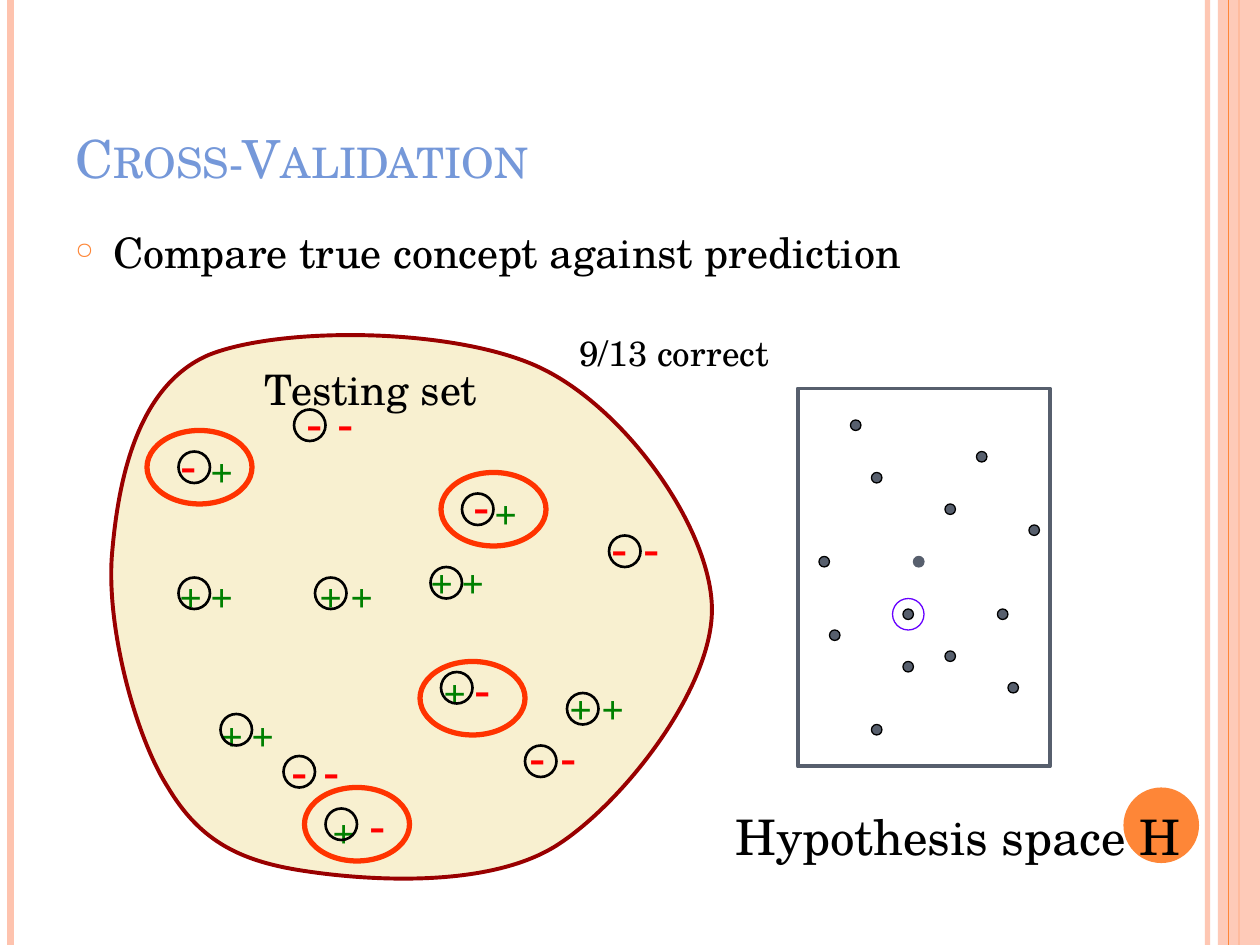
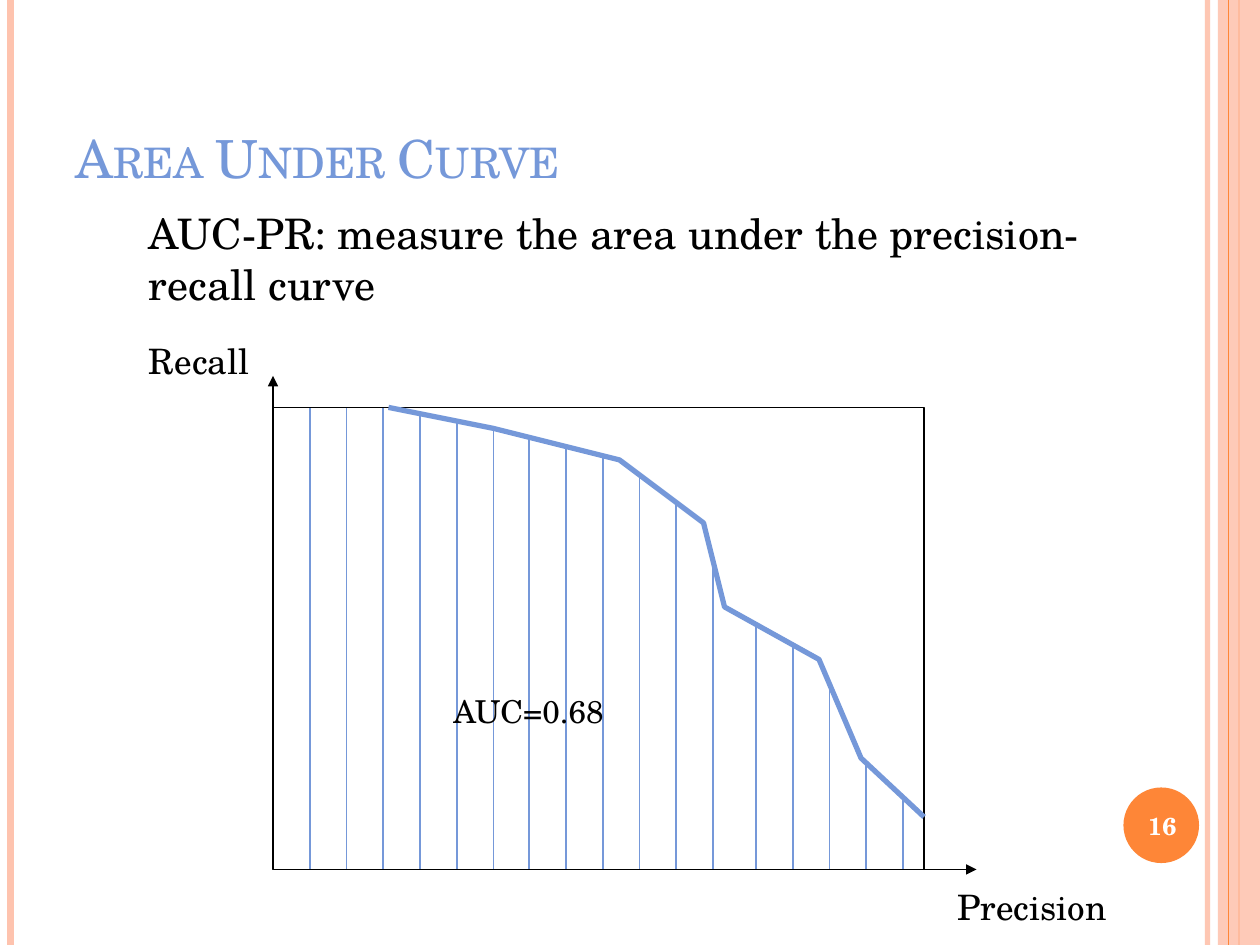
from dataclasses import dataclass
from typing import Optional

from pptx import Presentation
from pptx.dml.color import RGBColor
from pptx.enum.shapes import MSO_CONNECTOR, MSO_SHAPE
from pptx.enum.text import MSO_ANCHOR, MSO_AUTO_SIZE, PP_ALIGN
from pptx.oxml.ns import qn
from pptx.util import Pt
from lxml.etree import SubElement

PX = 7620
WIDTH, HEIGHT = 1200, 900
FONT = "TeX Gyre Schola"

BLACK = RGBColor(0x00, 0x00, 0x00)
WHITE = RGBColor(0xFF, 0xFF, 0xFF)
PEACH = RGBColor(0xFE, 0xC3, 0xAE)
ORANGE = RGBColor(0xFE, 0x86, 0x37)
BLUE = RGBColor(0x75, 0x98, 0xD9)
SLATE = RGBColor(0x57, 0x5F, 0x6D)
CREAM = RGBColor(0xF8, 0xF0, 0xD0)
MAROON = RGBColor(0x99, 0x00, 0x00)
GREEN = RGBColor(0x00, 0x80, 0x00)
RED = RGBColor(0xFF, 0x00, 0x00)
VERMILION = RGBColor(0xFF, 0x33, 0x00)
VIOLET = RGBColor(0x66, 0x00, 0xFF)

Point = tuple[int, int]
Box = tuple[int, int, int, int]


@dataclass(frozen=True)
class Stripe:
    """A vertical line of the slide frame."""

    x: int
    color: RGBColor
    width: float
    opacity: int = 100


@dataclass(frozen=True)
class Sign:
    """How a class label is written."""

    text: str
    size: int
    color: RGBColor
    box: Point


@dataclass(frozen=True)
class Example:
    """A test example: ringed prediction, true label beside it, oval if they differ."""

    ring: Point
    predicted: Sign
    predicted_at: Point
    actual: Sign
    actual_at: Optional[Point] = None
    error_at: Optional[Point] = None


PLUS = Sign("+", 20, GREEN, (43, 52))
MINUS = Sign("-", 28, RED, (40, 68))

LEFT_STRIPES = [Stripe(1150, PEACH, 3, 93), Stripe(10, PEACH, 4.5), Stripe(1180, ORANGE, 1.5)]
TOP_STRIPE = Stripe(1170, ORANGE, 0.75)

EXAMPLES = [
    Example((300, 550), PLUS, (293, 539), PLUS),
    Example((420, 640), PLUS, (412, 631), MINUS, (440, 620), (400, 630)),
    Example((170, 550), PLUS, (160, 539), PLUS),
    Example((310, 770), PLUS, (306, 764), MINUS, (340, 750), (290, 750)),
    Example((540, 660), PLUS, (532, 646), PLUS),
    Example((210, 680), PLUS, (199, 672), PLUS),
    Example((410, 540), PLUS, (399, 526), PLUS),
    Example((500, 710), MINUS, (492, 685), MINUS),
    Example((170, 430), MINUS, (160, 407), PLUS, (190, 420), (140, 410)),
    Example((270, 720), MINUS, (266, 698), MINUS),
    Example((440, 470), MINUS, (439, 446), PLUS, (460, 460), (420, 450)),
    Example((580, 510), MINUS, (571, 486), MINUS),
    Example((280, 390), MINUS, (280, 367), MINUS),
]

HYPOTHESES = [
    (860, 580), (830, 450), (810, 400), (900, 480), (980, 500), (780, 530), (900, 620),
    (790, 600), (950, 580), (860, 630), (930, 430), (960, 650), (830, 690),
]
UNOUTLINED_HYPOTHESIS = (870, 530)

BLOB_BOX = (100, 310, 580, 535)
BLOB_START = (293, 830)
BLOB_CURVES = [
    ((230, 821), (191, 802), (160, 750)),
    ((128, 700), (100, 593), (107, 524)),
    ((113, 456), (131, 367), (199, 338)),
    ((269, 310), (439, 312), (518, 352)),
    ((598, 392), (676, 503), (678, 578)),
    ((680, 653), (596, 762), (532, 804)),
    ((468, 846), (354, 839), BLOB_START),
]

ORIGIN = (260, 828)
PLOT_TOP = 388
CURVE = [(370, PLOT_TOP), (470, 408), (590, 438), (670, 498),
         (690, 578), (780, 628), (820, 722), (880, 778)]
HATCH_GAP = 34.9
HATCH_XS = [round(start + HATCH_GAP * index)
            for start, count in ((295, 12), (720, 5)) for index in range(count)]


def set_opacity(drawn, percent: int) -> None:
    """Make the single colour of a shape or connector translucent."""
    color = next(drawn._element.iter(qn("a:srgbClr")))
    SubElement(color, qn("a:alpha"), val=str(percent * 1000))


def style_shape(shape, fill: Optional[RGBColor], line: Optional[RGBColor], width: float) -> None:
    """Set fill and outline, where None means absent."""
    shape.shadow.inherit = False
    if fill is None:
        shape.fill.background()
    else:
        shape.fill.solid()
        shape.fill.fore_color.rgb = fill
    if line is None:
        shape.line.fill.background()
    else:
        shape.line.color.rgb = line
        shape.line.width = Pt(width)


def add_preset(slide, preset, box: Box, fill: Optional[RGBColor] = None,
               line: Optional[RGBColor] = None, width: float = 0.75):
    """Add a preset shape."""
    shape = slide.shapes.add_shape(preset, *(length * PX for length in box))
    style_shape(shape, fill, line, width)
    return shape


def add_circle(slide, at: Point, size: int, **style) -> None:
    """Add a circle by its top left corner and diameter."""
    add_preset(slide, MSO_SHAPE.OVAL, (*at, size, size), **style)


def add_outline(slide, points: list, close: bool, fill: Optional[RGBColor],
                line: RGBColor, width: float):
    """Add a freeform through the given points."""
    builder = slide.shapes.build_freeform(*points[0], scale=PX)
    builder.add_line_segments(points[1:], close=close)
    shape = builder.convert_to_shape()
    style_shape(shape, fill, line, width)
    return shape


def add_blob(slide) -> None:
    """Add the rounded outline of the testing set."""
    corners = [BLOB_START, *(curve[-1] for curve in BLOB_CURVES)]
    shape = add_outline(slide, corners, True, CREAM, MAROON, 2.25)
    left, top, width, height = BLOB_BOX
    shape.left, shape.top = left * PX, top * PX
    shape.width, shape.height = width * PX, height * PX
    outline = next(shape._element.iter(qn("a:path")))
    for segment in list(outline):
        outline.remove(segment)
    outline.set("w", str(width))
    outline.set("h", str(height))
    segments = [("a:moveTo", [BLOB_START])]
    segments += [("a:cubicBezTo", curve) for curve in BLOB_CURVES]
    for tag, points in [*segments, ("a:close", [])]:
        segment = SubElement(outline, qn(tag))
        for x, y in points:
            SubElement(segment, qn("a:pt"), x=str(x - left), y=str(y - top))


def add_line(slide, start: Point, end: Point, color: RGBColor, width: float,
             arrow: bool = False):
    """Add a straight line, with an arrowhead at its end if asked."""
    connector = slide.shapes.add_connector(
        MSO_CONNECTOR.STRAIGHT, *(length * PX for length in (*start, *end)))
    connector.line.color.rgb = color
    connector.line.width = Pt(width)
    properties = connector._element.spPr
    if arrow:
        SubElement(properties.find(qn("a:ln")), qn("a:tailEnd"), type="triangle")
    SubElement(properties, qn("a:effectLst"))
    return connector


def add_text(slide, text: str, box: Box, *, size: int, color: RGBColor = BLACK,
             bold: bool = False, small_caps: bool = False, wrap: bool = True,
             grow: bool = True, align=PP_ALIGN.LEFT, anchor=MSO_ANCHOR.TOP):
    """Add a text box and return its paragraph."""
    frame = slide.shapes.add_textbox(*(length * PX for length in box)).text_frame
    frame.word_wrap = wrap
    frame.auto_size = MSO_AUTO_SIZE.SHAPE_TO_FIT_TEXT if grow else MSO_AUTO_SIZE.NONE
    frame.vertical_anchor = anchor
    paragraph = frame.paragraphs[0]
    paragraph.alignment = align
    run = paragraph.add_run()
    run.text = text
    run.font.name = FONT
    run.font.size = Pt(size)
    run.font.bold = bold
    run.font.color.rgb = color
    if small_caps:
        run.font._element.set("cap", "small")
    return paragraph


def add_bullet(paragraph, character: str, color: RGBColor, percent: int, indent: int) -> None:
    """Give a paragraph a hanging bullet."""
    properties = paragraph._p.get_or_add_pPr()
    properties.set("marL", str(indent * PX))
    properties.set("indent", str(-indent * PX))
    SubElement(SubElement(properties, qn("a:buClr")), qn("a:srgbClr"), val=str(color))
    SubElement(properties, qn("a:buSzPct"), val=str(percent * 1000))
    SubElement(properties, qn("a:buChar"), char=character)


def add_stripe(slide, stripe: Stripe) -> None:
    """Draw a frame line down the whole slide."""
    connector = add_line(slide, (stripe.x, 0), (stripe.x, HEIGHT), stripe.color, stripe.width)
    if stripe.opacity < 100:
        set_opacity(connector, stripe.opacity)


def add_framed_slide(presentation, title: str):
    """Add a blank slide with the shared frame, badge and title."""
    slide = presentation.slides.add_slide(presentation.slide_layouts[6])
    for stripe in LEFT_STRIPES:
        add_stripe(slide, stripe)
    band = add_preset(slide, MSO_SHAPE.RECTANGLE, (1160, 0, 40, HEIGHT), fill=PEACH)
    set_opacity(band, 87)
    add_stripe(slide, TOP_STRIPE)
    add_circle(slide, (1070, 750), 72, fill=ORANGE)
    add_text(slide, title, (60, 36, 980, 150), size=30, color=BLUE, small_caps=True,
             grow=False, anchor=MSO_ANCHOR.BOTTOM)
    return slide


def add_sign(slide, sign: Sign, at: Point) -> None:
    """Write a class label."""
    add_text(slide, sign.text, (*at, *sign.box), size=sign.size, color=sign.color, wrap=False)


def add_actual(slide, example: Example) -> None:
    """Write the true label, by default just right of the predicted one."""
    x, y = example.predicted_at
    add_sign(slide, example.actual, example.actual_at or (x + 30, y))


def curve_height(x: int) -> int:
    """Give the y of the precision-recall curve at x."""
    for (x0, y0), (x1, y1) in zip(CURVE, CURVE[1:]):
        if x0 <= x <= x1:
            return round(y0 + (y1 - y0) * (x - x0) / (x1 - x0))
    return PLOT_TOP


def build_cross_validation(presentation) -> None:
    """Build the slide comparing true concept and prediction."""
    slide = add_framed_slide(presentation, "Cross-Validation")
    body = add_text(slide, "Compare true concept against prediction",
                    (60, 210, 980, 640), size=24, grow=False)
    add_bullet(body, "○", ORANGE, 55, 36)
    add_blob(slide)
    for example in EXAMPLES:
        add_sign(slide, example.predicted, example.predicted_at)
    add_preset(slide, MSO_SHAPE.RECTANGLE, (760, 370, 240, 360), line=SLATE, width=2.25)
    for hypothesis in HYPOTHESES:
        add_circle(slide, hypothesis, 10, fill=SLATE, line=BLACK)
    add_circle(slide, UNOUTLINED_HYPOTHESIS, 10, fill=SLATE, line=SLATE)
    add_circle(slide, (850, 570), 30, line=VIOLET)
    add_text(slide, "Hypothesis space H", (689, 762, 480, 68), size=28)
    for example in EXAMPLES:
        add_circle(slide, example.ring, 30, line=BLACK, width=1.5)
    add_text(slide, "Testing set", (240, 340, 480, 60), size=24)
    errors = [example for example in EXAMPLES if example.error_at]
    for example in EXAMPLES:
        if example not in errors:
            add_actual(slide, example)
    for example in errors:
        add_actual(slide, example)
    for example in errors:
        add_preset(slide, MSO_SHAPE.OVAL, (*example.error_at, 100, 70), line=VERMILION, width=3)
    add_text(slide, "9/13 correct", (540, 310, 260, 52), size=20)


def build_area_under_curve(presentation) -> None:
    """Build the slide with the hatched precision-recall curve."""
    slide = add_framed_slide(presentation, "Area Under Curve")
    add_text(slide, "16", (1067, 752, 80, 68), size=14, color=WHITE, bold=True,
             grow=False, align=PP_ALIGN.CENTER, anchor=MSO_ANCHOR.MIDDLE)
    left, bottom = ORIGIN
    for tip in ((930, bottom), (left, 358)):
        add_line(slide, ORIGIN, tip, BLACK, 0.75, arrow=True)
    add_preset(slide, MSO_SHAPE.RECTANGLE, (left, PLOT_TOP, 620, bottom - PLOT_TOP), line=BLACK)
    add_text(slide, "Precision", (900, 837, 210, 52), size=20)
    add_text(slide, "Recall", (130, 317, 160, 52), size=20)
    add_outline(slide, CURVE, False, None, BLUE, 3)
    add_text(slide, "AUC-PR: measure the area under the precision-recall curve",
             (130, 192, 940, 109), size=24)
    for x in HATCH_XS:
        add_line(slide, (x, curve_height(x) + 1), (x, bottom), BLUE, 1)
    add_text(slide, "AUC=0.68", (420, 653, 170, 48), size=18, wrap=False)


def main() -> None:
    """Build and save the presentation."""
    presentation = Presentation()
    presentation.slide_width = WIDTH * PX
    presentation.slide_height = HEIGHT * PX
    build_cross_validation(presentation)
    build_area_under_curve(presentation)
    presentation.save("out.pptx")


if __name__ == "__main__":
    main()
